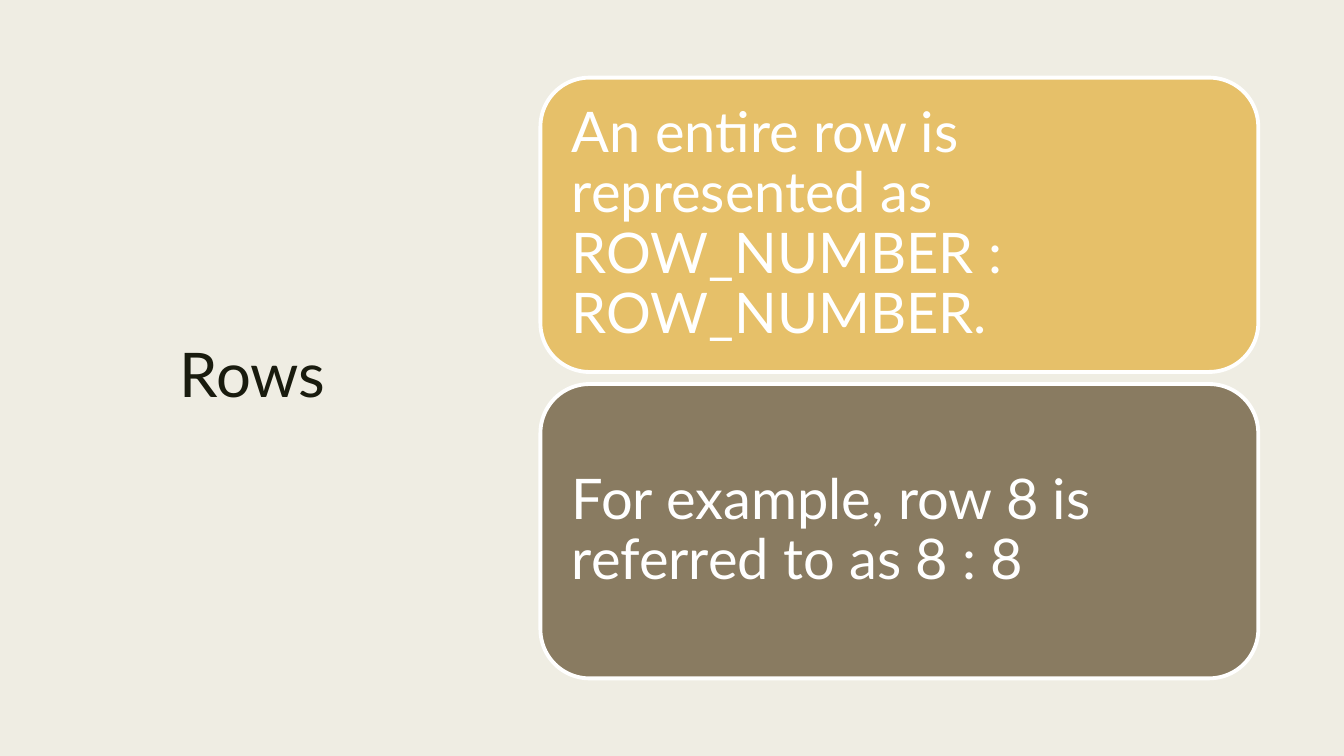
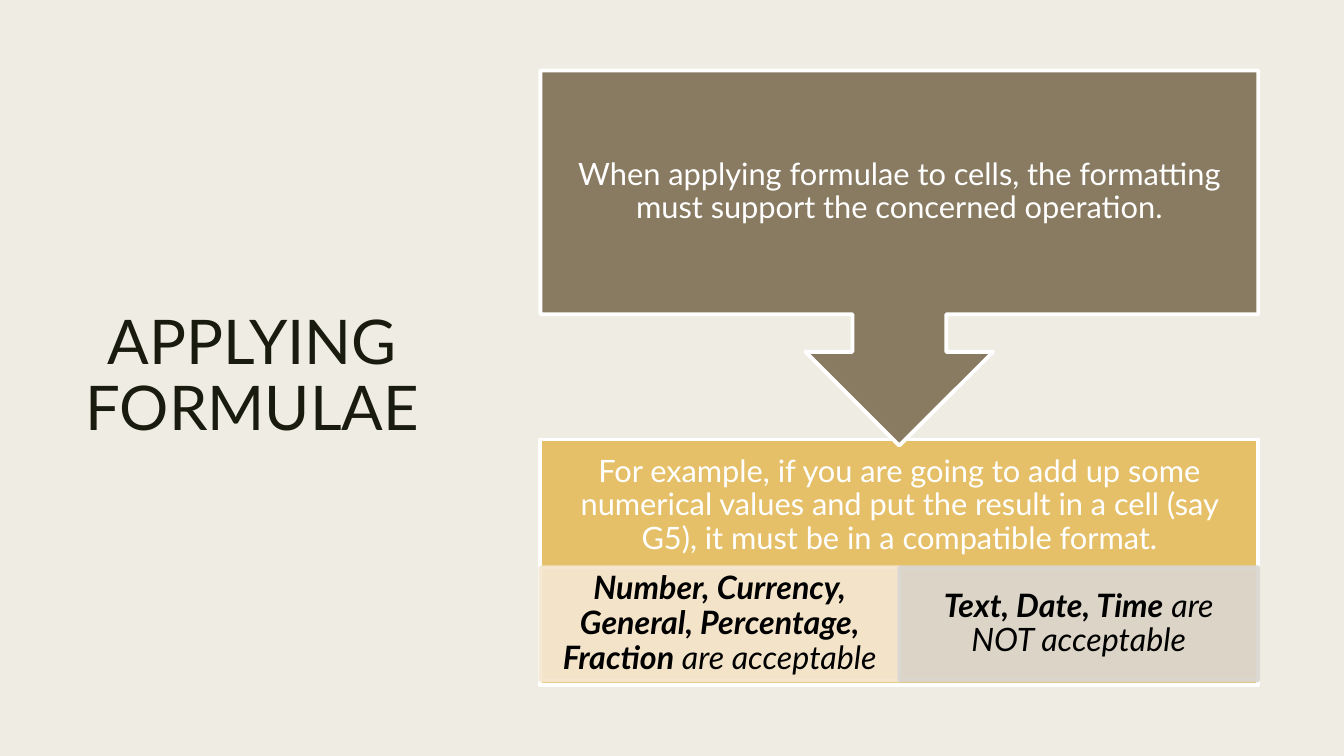
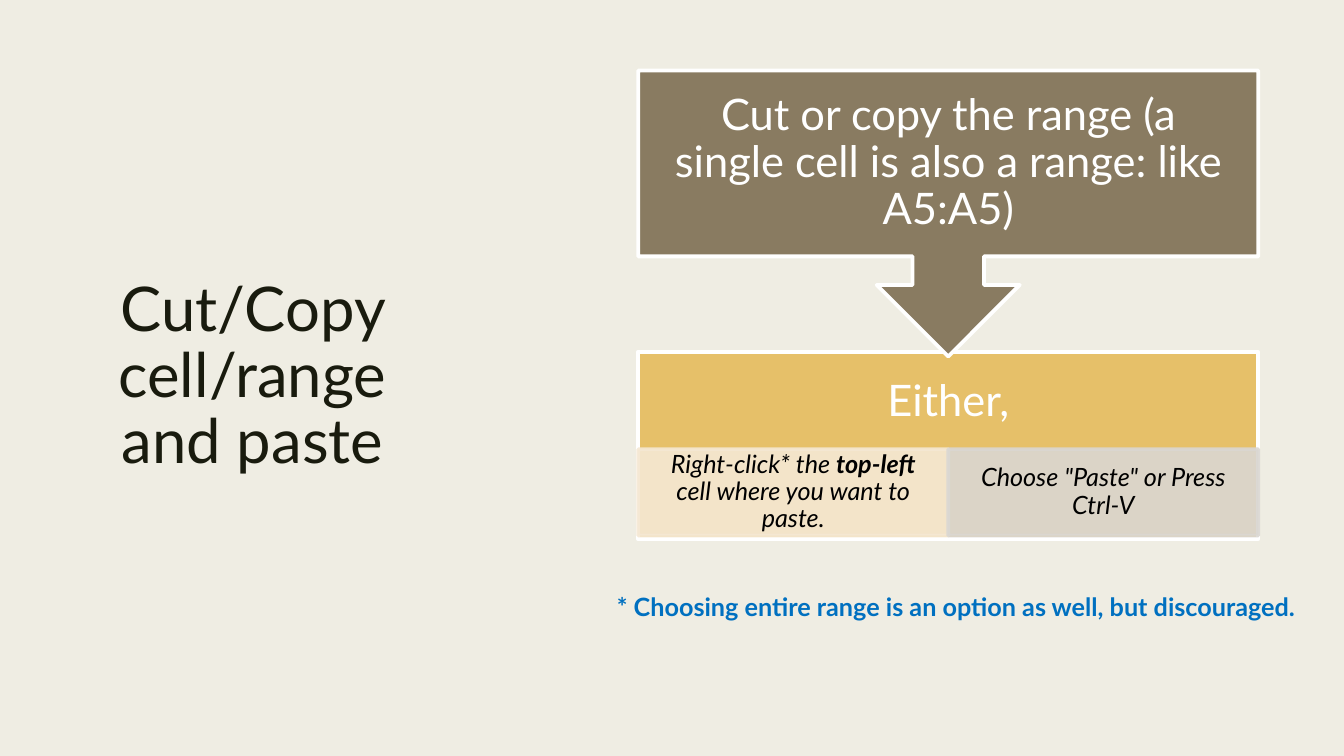
from lxml.etree import SubElement
from pptx import Presentation
from pptx.dml.color import RGBColor as RGB
from pptx.enum.shapes import MSO_SHAPE as Kind
from pptx.enum.text import MSO_ANCHOR as Anchor, MSO_AUTO_SIZE as Fit, PP_ALIGN as Align
from pptx.oxml.ns import qn
from pptx.util import Inches, Pt

PAPER = RGB(0xEF, 0xED, 0xE3)
INK = RGB(0x19, 0x1B, 0x0E)
GOLD = RGB(0xE6, 0xC0, 0x69)
BROWN = RGB(0x89, 0x7B, 0x61)
CREAM = RGB(0xF5, 0xE8, 0xD4)
STONE = RGB(0xDA, 0xD7, 0xD2)
WHITE = RGB(0xFF, 0xFF, 0xFF)
BLACK = RGB(0, 0, 0)
BLUE = RGB(0, 0x70, 0xC0)

WIDE, HIGH = 13.33, 7.5
EDGE = 0.7
FULL = HIGH - 2 * EDGE
RIGHT = 12.48


def write(shape, runs, size, color, align=Align.CENTER, space=0.9, side=0.1, foot=0.05, italic=False):
    """Fill the shape with one paragraph of (text, bold) runs."""
    frame = shape.text_frame
    form = dict(word_wrap=True, auto_size=Fit.NONE, vertical_anchor=Anchor.MIDDLE,
                margin_left=Inches(side), margin_right=Inches(side),
                margin_top=Inches(0.05), margin_bottom=Inches(foot))
    for key, val in form.items():
        setattr(frame, key, val)
    para = frame.paragraphs[0]
    para.alignment, para.line_spacing = align, space
    for text, bold in runs:
        run = para.add_run()
        run.text = text
        font = dict(name="Lato", size=Pt(size), bold=bold, italic=italic)
        for key, val in font.items():
            setattr(run.font, key, val)
        run.font.color.rgb = color


def block(slide, kind, box, fill, line=WHITE, alpha=None):
    shape = slide.shapes.add_shape(kind, *map(Inches, box))
    shape.shadow.inherit = False
    shape.fill.solid()
    shape.fill.fore_color.rgb = fill
    shape.line.color.rgb = line
    shape.line.width = Pt(2.75)
    if alpha:
        for node in shape._element.spPr.iter(qn("a:srgbClr")):
            SubElement(node, qn("a:alpha"), val=str(alpha * 1000))
    return shape


prs = Presentation()
prs.slide_width, prs.slide_height = Inches(WIDE), Inches(HIGH)
back = prs.slide_master.background.fill
back.solid()
back.fore_color.rgb = PAPER

slides = []
for name in ("Rows", "APPLYING FORMULAE", "Cut/Copy cell/range and paste"):
    slide = prs.slides.add_slide(prs.slide_layouts[5])
    title = slide.shapes.title
    spot = dict(left=EDGE, top=EDGE, width=3.61, height=FULL)
    for key, val in spot.items():
        setattr(title, key, Inches(val))
    write(title, [(name, False)], 44, INK, space=0.89)
    slides.append(slide)
rows, apply, paste = slides

# Two stacked cards
cards = [
    (GOLD, "An entire row is represented as ROW_NUMBER : ROW_NUMBER."),
    (BROWN, "For example, row 8 is referred to as 8 : 8"),
]
tall, gap, left = 2.92, 0.12, 5.36
top = (HIGH - 2 * tall - gap) / 2
for i, (fill, text) in enumerate(cards):
    box = (left, top + i * (tall + gap), RIGHT - left, tall)
    card = block(rows, Kind.ROUNDED_RECTANGLE, box, fill)
    write(card, [(text, False)], 40, WHITE, align=Align.LEFT, side=0.17)

# Flows: a callout pointing at a band with two cells
flows = [
    dict(slide=apply, left=5.36, tall=FULL, size=22, side=0.17, small=23, pad=0.18,
         head="When applying formulae to cells, the formatting must support the concerned operation.",
         band="For example, if you are going to add up some numerical values and put the result "
              "in a cell (say G5), it must be in a compatible format.",
         cells=[[("Number, Currency, General, Percentage, Fraction", True), (" are acceptable", False)],
                [("Text, Date, Time", True), (" are NOT acceptable", False)]]),
    dict(slide=paste, left=6.33, tall=4.65, size=31, side=0.24, small=18, pad=0.14,
         head="Cut or copy the range (a single cell is also a range: like A5:A5)",
         band="Either,",
         cells=[[("Right-click* the ", False), ("top-left", True),
                 (" cell where you want to paste.", False)],
                [('Choose "Paste" or Press Ctrl-V', False)]]),
]
for flow in flows:
    slide, left, tall = flow["slide"], flow["left"], flow["tall"]
    wide = RIGHT - left
    low = 0.4 * tall
    top = EDGE + tall - low
    band = block(slide, Kind.RECTANGLE, (left, top, wide, low), GOLD)
    write(band, [(flow["band"], False)], flow["size"], WHITE,
          side=flow["side"], foot=0.46 * low + 0.05)
    for i, (runs, fill) in enumerate(zip(flow["cells"], (CREAM, STONE))):
        box = (left + i * wide / 2, top + 0.52 * low, wide / 2, 0.46 * low)
        cell = block(slide, Kind.RECTANGLE, box, fill, fill, 90)
        write(cell, runs, flow["small"], BLACK, side=flow["pad"], foot=0.05, italic=True)
    head = block(slide, Kind.DOWN_ARROW_CALLOUT, (left, EDGE, wide, 0.61 * tall), BROWN)
    write(head, [(flow["head"], False)], flow["size"], WHITE, side=flow["side"])

note = paste.shapes.add_textbox(*map(Inches, (6.02, 5.82, WIDE - 6.02, 0.4)))
write(note, [("* Choosing entire range is an option as well, but discouraged.", True)],
      18, BLUE, align=Align.LEFT, space=1)

prs.save("out.pptx")
